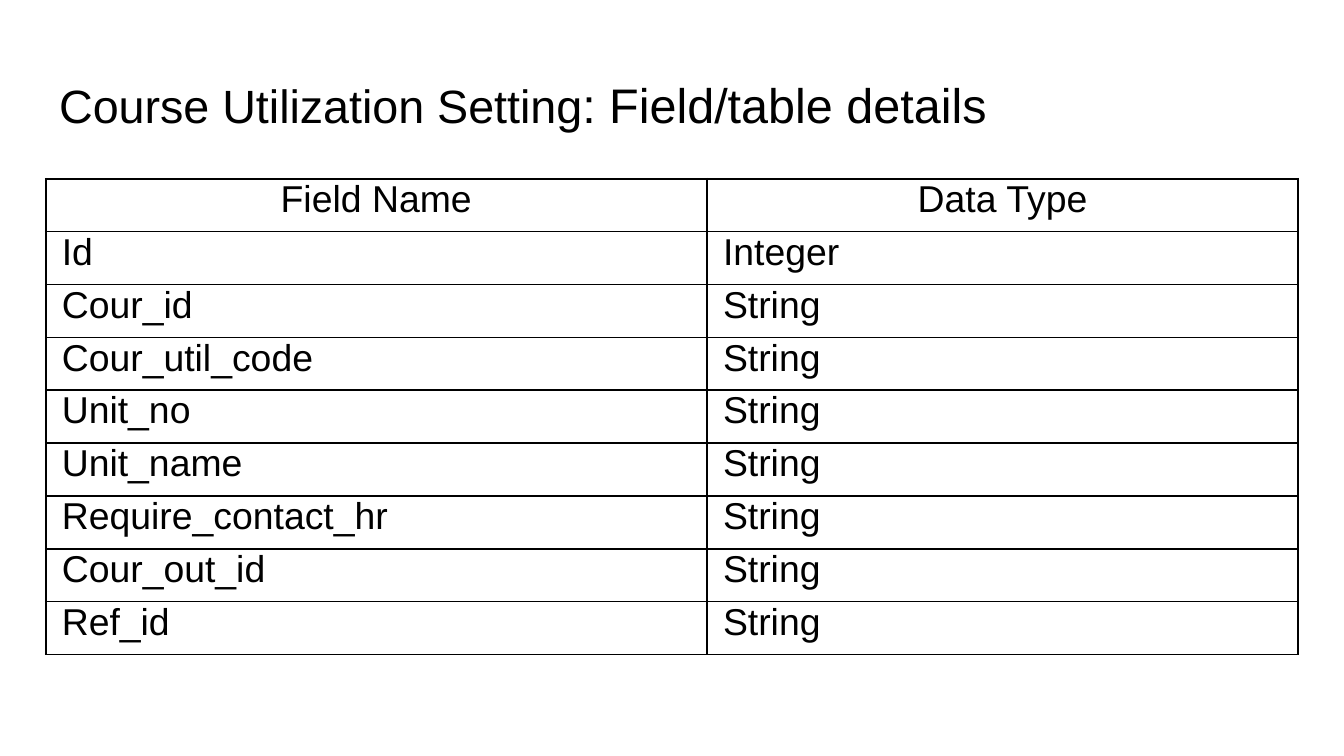
from lxml.etree import SubElement
from pptx import Presentation
from pptx.dml.color import RGBColor
from pptx.enum.text import MSO_ANCHOR, MSO_AUTO_SIZE, PP_ALIGN
from pptx.oxml.ns import qn
from pptx.util import Inches, Pt

BLACK = RGBColor(0x00, 0x00, 0x00)
WHITE = RGBColor(0xFF, 0xFF, 0xFF)
FONT = "Arial"
BORDER_WIDTH = Pt(1)

TITLE_SPANS = [("Course Utilization Setting", 25), (": Field/table details", 26)]
HEADER = ("Field Name", "Data Type")
FIELDS = [
    ("Id", "Integer"),
    ("Cour_id", "String"),
    ("Cour_util_code", "String"),
    ("Unit_no", "String"),
    ("Unit_name", "String"),
    ("Require_contact_hr", "String"),
    ("Cour_out_id", "String"),
    ("Ref_id", "String"),
]


def set_font(font, size=None):
    font.name = FONT
    font.color.rgb = BLACK
    if size:
        font.size = Pt(size)


def place_title(page, left, top, width, height):
    title = page.shapes.title
    title.left, title.top = Inches(left), Inches(top)
    title.width, title.height = Inches(width), Inches(height)
    frame = title.text_frame
    frame.word_wrap = True
    frame.auto_size = MSO_AUTO_SIZE.NONE
    frame.vertical_anchor = MSO_ANCHOR.MIDDLE
    frame.margin_left = frame.margin_right = Inches(0.1)
    frame.margin_top = frame.margin_bottom = Inches(0.1)
    para = frame.paragraphs[0]
    para.alignment = PP_ALIGN.LEFT
    para.line_spacing = 0.9
    set_font(para.font)
    for text, size in TITLE_SPANS:
        span = para.add_run()
        span.text = text
        span.font.size = Pt(size)


def add_borders(cell):
    properties = cell._tc.get_or_add_tcPr()
    # Borders must come before the fill
    for index, side in enumerate(("a:lnL", "a:lnR", "a:lnT", "a:lnB")):
        line = SubElement(properties, qn(side), w=str(BORDER_WIDTH))
        fill = SubElement(line, qn("a:solidFill"))
        SubElement(fill, qn("a:srgbClr"), val=str(BLACK))
        properties.insert(index, line)


def format_cell(cell, text, alignment):
    cell.margin_left = cell.margin_right = Inches(0.12)
    cell.margin_top = cell.margin_bottom = 0
    cell.fill.solid()
    cell.fill.fore_color.rgb = WHITE
    add_borders(cell)
    cell.text = text
    para = cell.text_frame.paragraphs[0]
    para.alignment = alignment
    set_font(para.font, 20)


def add_field_table(page, left, top, width, height):
    rows = [HEADER] + FIELDS
    table = page.shapes.add_table(
        len(rows), len(HEADER),
        Inches(left), Inches(top), Inches(width), Inches(height),
    ).table
    name_width = 4.92
    table.columns[0].width = Inches(name_width)
    table.columns[1].width = Inches(width - name_width)
    for row_index, row in enumerate(rows):
        alignment = PP_ALIGN.LEFT if row_index else PP_ALIGN.CENTER
        for column_index, text in enumerate(row):
            format_cell(table.cell(row_index, column_index), text, alignment)


def main():
    deck = Presentation()
    # Widescreen, 16:9
    deck.slide_width = Inches(10)
    deck.slide_height = deck.slide_width * 9 // 16
    page = deck.slides.add_slide(deck.slide_layouts[5])

    # Heading above the table, both in the same column
    left, width = 0.34, 9.32
    place_title(page, left, 0.49, width, 0.63)
    add_field_table(page, left, 1.33, width, 3.54)

    deck.save("out.pptx")


if __name__ == "__main__":
    main()
